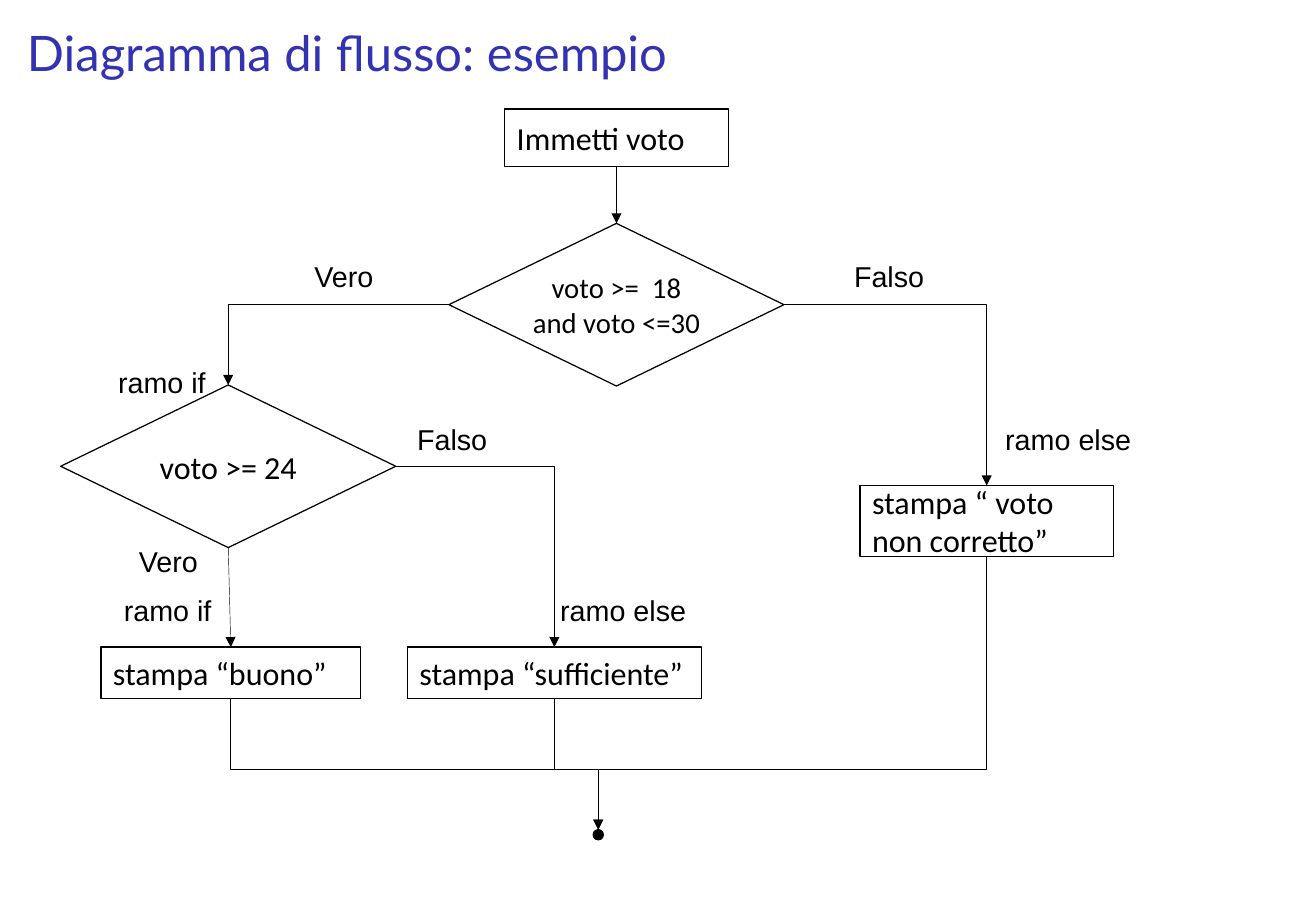
"""Build the flowchart slide that grades a vote."""
import pptx
import pptx.dml.color
import pptx.enum.shapes
import pptx.enum.text
import pptx.oxml.ns
import pptx.util
from lxml import etree

Pt = pptx.util.Pt
MSO = pptx.enum.shapes.MSO_SHAPE
CONN = pptx.enum.shapes.MSO_CONNECTOR
ALIGN = pptx.enum.text.PP_ALIGN
ANCHOR = pptx.enum.text.MSO_ANCHOR
qn = pptx.oxml.ns.qn

COLORS = {"title": "3333B2", "ink": "000000"}
TITLE = "Diagramma di flusso: esempio"
MERGE_Y = 456
TOP, LEFT, BOTTOM, RIGHT = range(4)

# name: (kind, text, centre x, top, width, height, text size)
NODES = {
    "input": (MSO.RECTANGLE, "Immetti voto", 365.4, 64.6, 132.4, 34, 19),
    "valid": (MSO.FLOWCHART_DECISION, "voto >=  18\vand voto <=30", 365.4, 132.4, 198.6, 96.4, 17),
    "good": (MSO.FLOWCHART_DECISION, "voto >= 24", 135.3, 228.2, 198.6, 96.4, 19),
    "buono": (MSO.RECTANGLE, "stampa “buono”", 136.8, 383.6, 153.8, 30.4, 19),
    "sufficiente": (MSO.RECTANGLE, "stampa “sufficiente”", 328.6, 383.6, 174.2, 30.4, 19),
    "error": (MSO.RECTANGLE, "stampa “ voto\vnon corretto”", 584.8, 287.8, 150, 42, 19),
    "end": (MSO.OVAL, "", 354.6, 491.8, 6, 6, 17),
}

# text, centre x, top, width
LABELS = [
    ("Vero", 203.8, 149.8, 67.6),
    ("Falso", 527, 149.8, 68.4),
    ("ramo if", 96, 212.6, 79.2),
    ("ramo else", 633.2, 246.4, 90.8),
    ("Falso", 268, 246.4, 68.4),
    ("Vero", 99.8, 318.6, 67.6),
    ("ramo if", 99.4, 348, 79.2),
    ("ramo else", 369.4, 348, 90.8),
]
LABEL_H = 28

STRAIGHT = [("input", "valid", 0.75), ("good", "buono", 0.25)]
BRANCHES = [("valid", LEFT, "good"), ("valid", RIGHT, "error"), ("good", RIGHT, "sufficiente")]
MERGES = ["buono", "error"]


def write(tf, text, font="Calibri", size=19, color="ink", align=ALIGN.CENTER,
          anchor=ANCHOR.MIDDLE, margins=(0, 0), wrap=False):
    """Put formatted text into a text frame."""
    tf.auto_size = pptx.enum.text.MSO_AUTO_SIZE.NONE
    tf.word_wrap = wrap
    tf.vertical_anchor = anchor
    tf.margin_left = tf.margin_right = Pt(margins[0])
    tf.margin_top = tf.margin_bottom = Pt(margins[1])
    p = tf.paragraphs[0]
    p.text = text
    p.alignment = align
    for r in p.runs:
        r.font.name = font
        r.font.size = Pt(size)
        r.font.color.rgb = pptx.dml.color.RGBColor.from_string(COLORS[color])


def add_node(slide, kind, text, cx, top, w, h, size):
    """Add one flowchart symbol."""
    sp = slide.shapes.add_shape(kind, Pt(cx - w / 2), Pt(top), Pt(w), Pt(h))
    sp.shadow.inherit = False
    ink = pptx.dml.color.RGBColor.from_string(COLORS["ink"])
    if kind == MSO.OVAL:
        sp.fill.solid()
        sp.fill.fore_color.rgb = ink
    else:
        sp.fill.background()
    sp.line.color.rgb = ink
    sp.line.width = Pt(0.75)
    if text:
        rect = kind == MSO.RECTANGLE
        write(sp.text_frame, text, size=size, align=ALIGN.LEFT if rect else ALIGN.CENTER,
              margins=(7.2, 3.6) if rect else (0, 0))
    return sp


def side(sp, index):
    """Return the middle point of a side of a shape."""
    x = sp.left + {LEFT: 0, RIGHT: sp.width}.get(index, sp.width // 2)
    y = sp.top + {TOP: 0, BOTTOM: sp.height}.get(index, sp.height // 2)
    return x, y


def add_line(slide, begin, end, kind=CONN.STRAIGHT, width=0.75, arrow=True):
    """Add a plain or arrow-headed connector."""
    cxn = slide.shapes.add_connector(kind, *begin, *end)
    cxn.line.color.rgb = pptx.dml.color.RGBColor.from_string(COLORS["ink"])
    cxn.line.width = Pt(width)
    if arrow:
        etree.SubElement(cxn.line._get_or_add_ln(), qn("a:tailEnd"), type="triangle")
    etree.SubElement(cxn._element.spPr, qn("a:effectLst"))
    return cxn


def add_branch(slide, begin, end):
    """Add an arrow that runs sideways, then down."""
    cxn = add_line(slide, begin, end, CONN.ELBOW)
    cxn._element.spPr.find(qn("a:prstGeom")).set("prst", "bentConnector2")


def add_merge(slide, begin, end, bend_y):
    """Add an arrow that runs down, sideways at bend_y, then down."""
    (x1, y1), (x2, y2) = begin, end
    w, h = y2 - y1, abs(x2 - x1)
    left, top = (x1 + x2 - w) // 2, (y1 + y2 - h) // 2
    begin_x, end_x = (left + w, left) if x2 > x1 else (left, left + w)
    cxn = add_line(slide, (begin_x, top), (end_x, top + h), CONN.ELBOW)
    xfrm = cxn._element.spPr.find(qn("a:xfrm"))
    xfrm.set("rot", "16200000" if x2 > x1 else "5400000")
    geom = cxn._element.spPr.find(qn("a:prstGeom"))
    guides = geom.find(qn("a:avLst"))
    if guides is None:
        guides = etree.SubElement(geom, qn("a:avLst"))
    etree.SubElement(guides, qn("a:gd"), name="adj1", fmla=f"val {round((bend_y - y1) / w * 100000)}")


def main():
    """Assemble and save the slide."""
    prs = pptx.Presentation()
    prs.slide_width, prs.slide_height = Pt(780), Pt(540)
    slide = prs.slides.add_slide(prs.slide_layouts[5])
    title = slide.shapes.title
    title.left, title.top, title.width, title.height = Pt(16), Pt(13.6), Pt(748), Pt(35.4)
    write(title.text_frame, TITLE, font="Lato", size=29, color="title",
          align=ALIGN.LEFT, anchor=ANCHOR.TOP, wrap=True)

    nodes = {name: add_node(slide, *node) for name, node in NODES.items()}
    for text, cx, top, w in LABELS:
        tb = slide.shapes.add_textbox(Pt(cx - w / 2), Pt(top), Pt(w), Pt(LABEL_H))
        write(tb.text_frame, text, font="Arial", size=17, anchor=ANCHOR.TOP, margins=(7.2, 3.6))

    for a, b, width in STRAIGHT:
        cxn = add_line(slide, side(nodes[a], BOTTOM), side(nodes[b], TOP), width=width)
        cxn.begin_connect(nodes[a], BOTTOM)
        cxn.end_connect(nodes[b], TOP)
    for a, start, b in BRANCHES:
        add_branch(slide, side(nodes[a], start), side(nodes[b], TOP))
    for a in MERGES:
        add_merge(slide, side(nodes[a], BOTTOM), side(nodes["end"], TOP), Pt(MERGE_Y))
    x, y = side(nodes["sufficiente"], BOTTOM)
    stub = add_line(slide, (x, y), (x, Pt(MERGE_Y)), width=0.25, arrow=False)
    stub.begin_connect(nodes["sufficiente"], BOTTOM)

    prs.save("out.pptx")


if __name__ == "__main__":
    main()
